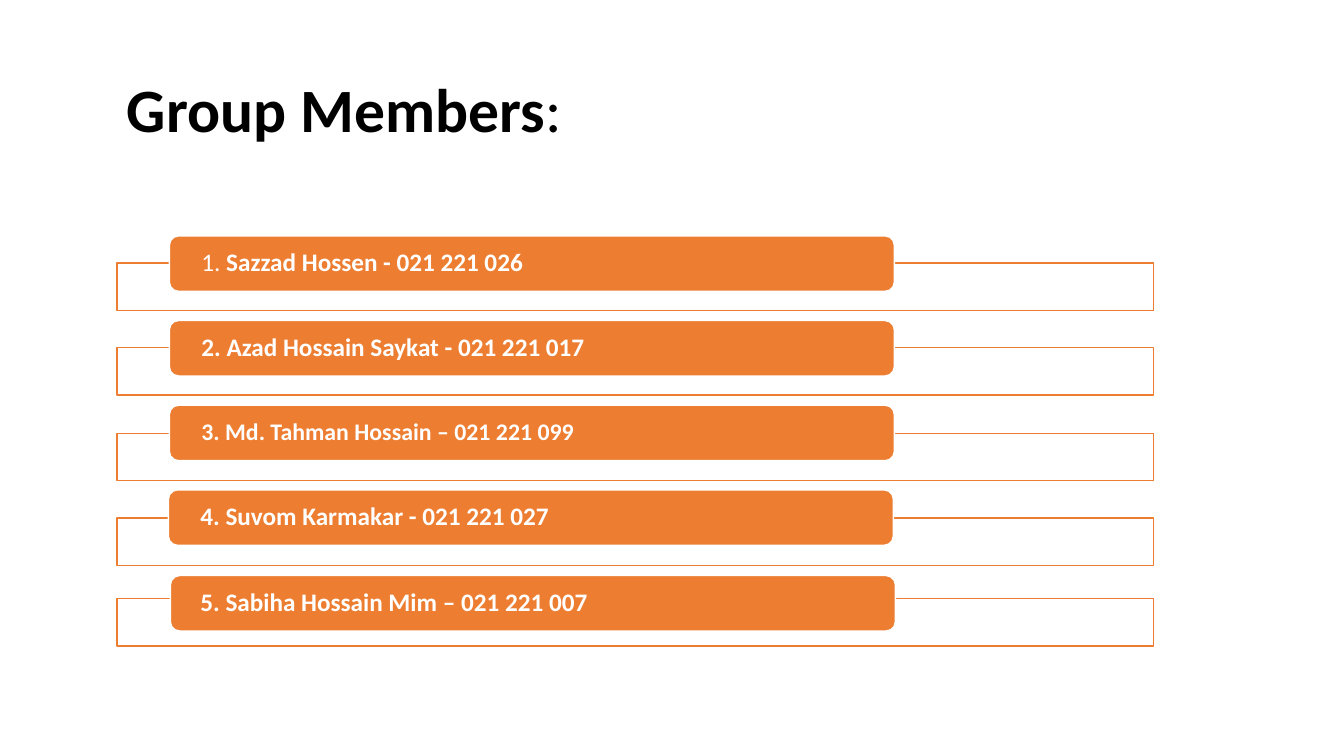
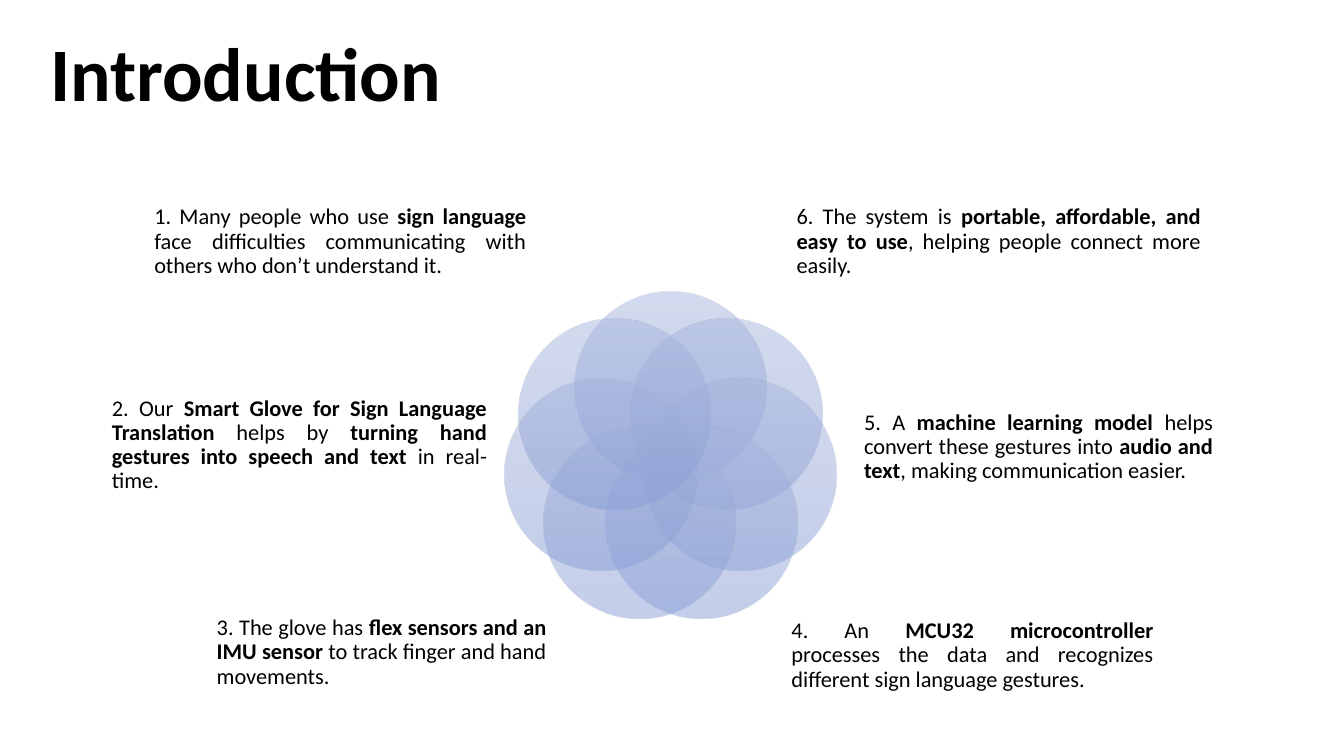
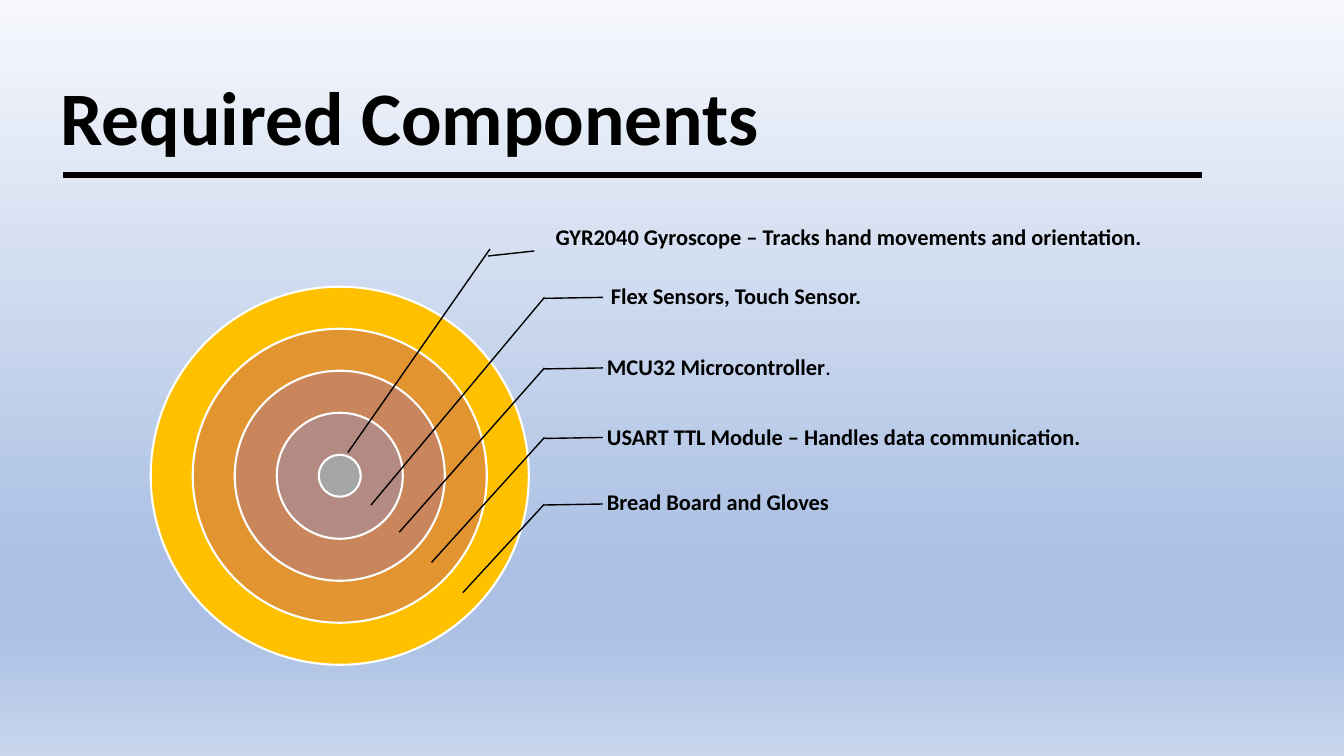
import math

import pptx
import pptx.dml.color
import pptx.enum.shapes
import pptx.enum.text
import pptx.oxml
import pptx.oxml.ns
import pptx.util
from pptx.util import Inches

FONT = "Calibri"
BLACK, WHITE, ORANGE = "000000", "FFFFFF", "ED7D31"
PETAL_STOPS = [(0, "A8B7DF", 50), (50, "9AABD9", 50), (100, "889ED7", 50)]
SKY_STOPS = [(0, "F6F8FC", 100), (74, "ABC0E4", 100), (83, "ABC0E4", 100), (100, "C7D5ED", 100)]
SHAPE = pptx.enum.shapes.MSO_SHAPE
ALIGN = pptx.enum.text.PP_ALIGN


def paint(fill, colour):
    fill.solid()
    fill.fore_color.rgb = pptx.dml.color.RGBColor.from_string(colour)


def write(shape, text, size, margins=(0.1, 0.05, 0.1, 0.05), colour=BLACK, align=ALIGN.LEFT):
    """Fill a shape with one paragraph; parts between ** marks are bold."""
    frame = shape.text_frame
    frame.word_wrap = True
    frame.vertical_anchor = pptx.enum.text.MSO_ANCHOR.MIDDLE
    frame.margin_left, frame.margin_top, frame.margin_right, frame.margin_bottom = map(Inches, margins)
    para = frame.paragraphs[0]
    para.alignment = align
    para.line_spacing = 0.9
    para.font.name = FONT
    para.font.size = pptx.util.Pt(size)
    paint(para.font.fill, colour)
    for index, part in enumerate(text.split("**")):
        if part:
            span = para.add_run()
            span.text = part
            span.font.bold = index % 2 == 1


deck = pptx.Presentation()
deck.slide_width, deck.slide_height = Inches(13.33), Inches(7.5)

# Pages and titles
pages = []
for title, left, top, size in [
    ("**Group Members**:", 1.16, 0.24, 44),
    ("**Introduction**", 0.4, -0.12, 54),
    ("**Required Components**", 0.5, 0.32, 54),
]:
    page = deck.slides.add_slide(deck.slide_layouts[6])
    box = page.shapes.add_textbox(Inches(left), Inches(top), Inches(11), Inches(1.76))
    write(box, title, size)
    pages.append(page)
members_page, intro_page, parts_page = pages

# Group members: an outlined frame behind each name bar
for name, size, frame_top, bar_left, bar_top, indent in [
    ("1. **Sazzad Hossen - 021 221 026**", 18, 2.61, 1.68, 2.34, 0.29),
    ("**2. Azad Hossain Saykat - 021 221 017**", 18, 3.45, 1.68, 3.18, 0.29),
    ("**3. Md. Tahman Hossain – 021 221 099**", 17, 4.3, 1.68, 4.02, 0.29),
    ("**4. Suvom Karmakar - 021 221 027**", 18, 5.14, 1.67, 4.86, 0.29),
    ("**5. Sabiha Hossain Mim – 021 221 007**", 18, 5.94, 1.69, 5.71, 0.27),
]:
    frame = members_page.shapes.add_shape(
        SHAPE.RECTANGLE, Inches(1.16), Inches(frame_top), Inches(10.28), Inches(0.47))
    bar = members_page.shapes.add_shape(
        SHAPE.ROUNDED_RECTANGLE, Inches(bar_left), Inches(bar_top), Inches(7.19), Inches(0.55))
    for shape, fill, outline in [(frame, WHITE, ORANGE), (bar, ORANGE, WHITE)]:
        shape.shadow.inherit = False
        paint(shape.fill, fill)
        paint(shape.line.fill, outline)
        shape.line.width = pptx.util.Pt(1)
    write(bar, name, size, (indent, 0, 0.29, 0), WHITE)

# Introduction: seven petals around one centre
gradients = [(parts_page.background.fill, parts_page.element, SKY_STOPS)]
petal_count, petal_size, orbit = 7, 1.9, 0.71
for number in range(petal_count):
    angle = 2 * math.pi * number / petal_count
    left = 6.65 + orbit * math.sin(angle) - petal_size / 2
    top = 4.55 - orbit * math.cos(angle) - petal_size / 2
    petal = intro_page.shapes.add_shape(
        SHAPE.OVAL, Inches(left), Inches(top), Inches(petal_size), Inches(petal_size))
    petal.shadow.inherit = False
    petal.line.fill.background()
    gradients.append((petal.fill, petal.element, PETAL_STOPS))

# Introduction: notes around the petals
for note, left, top, width, height in [
    ("1. Many people who use **sign language** face difficulties communicating with others "
     "who don’t understand it.", 1.53, 1.76, 3.69, 1.28),
    ("2. Our **Smart Glove for Sign Language Translation** helps by **turning hand gestures "
     "into speech and text** in real-time.", 1.11, 3.67, 3.72, 1.5),
    ("3. The glove has **flex sensors and an IMU sensor** to track finger and hand movements.",
     2.15, 5.85, 3.27, 1.25),
    ("4. An **MCU32 microcontroller** processes the data and recognizes different sign "
     "language gestures.", 7.85, 5.88, 3.59, 1.25),
    ("5. A **machine learning model** helps convert these gestures into **audio and text**, "
     "making communication easier.", 8.57, 3.75, 3.46, 1.37),
    ("6. The system is **portable, affordable, and easy to use**, helping people connect "
     "more easily.", 7.9, 1.76, 4.01, 1.28),
]:
    box = intro_page.shapes.add_textbox(Inches(left), Inches(top), Inches(width), Inches(height))
    write(box, note, 16, (0, 0, 0, 0), align=ALIGN.JUSTIFY)

# Components: concentric rings, largest first
for step, colour in zip((9, 7, 5, 3, 1), ("FFC000", "E19430", "C9865C", "B48B83", "A5A5A5")):
    size = 3.75 * step / 9
    ring = parts_page.shapes.add_shape(
        SHAPE.OVAL, Inches(3.37 - size / 2), Inches(4.72 - size / 2), Inches(size), Inches(size))
    ring.shadow.inherit = False
    paint(ring.fill, colour)
    paint(ring.line.fill, WHITE)
    ring.line.width = pptx.util.Pt(1.5)

# Components: leader lines from the rings to the labels
leaders = [(4.84, 2.54, 5.3, 2.49), (4.86, 2.47, 3.45, 4.49)]
for elbow_y, ring_x, ring_y in [(2.95, 3.68, 5.01), (3.65, 3.96, 5.28),
                                (4.34, 4.28, 5.58), (5, 4.59, 5.88)]:
    leaders.append((5.4, elbow_y, ring_x, ring_y))
    leaders.append((5.4, elbow_y + 0.01, 5.98, elbow_y))
for ends in leaders:
    leader = parts_page.shapes.add_connector(
        pptx.enum.shapes.MSO_CONNECTOR.STRAIGHT, *map(Inches, ends))
    paint(leader.line.fill, BLACK)
    leader.line.width = pptx.util.Pt(1)
    leader.element.spPr.append(pptx.oxml.parse_xml(
        f"<a:effectLst {pptx.oxml.ns.nsdecls('a')}/>"))

# Components: labels
for label, left, top, width in [
    ("**GYR2040 Gyroscope – Tracks hand movements and orientation.**", 5.39, 2.03, 7.4),
    ("**Flex Sensors, Touch Sensor.**", 5.94, 2.62, 5.66),
    ("**MCU32 Microcontroller**.", 5.9, 3.32, 4.36),
    ("**USART TTL Module – Handles data communication.**", 5.9, 4.02, 6.32),
    ("**Bread Board and Gloves**", 5.9, 4.66, 6.32),
]:
    box = parts_page.shapes.add_textbox(Inches(left), Inches(top), Inches(width), Inches(0.66))
    write(box, label, 16, (0.12, 0.02, 0.02, 0.02))

# Components: rule under the title
rule = parts_page.shapes.add_shape(
    SHAPE.RECTANGLE, Inches(0.63), Inches(1.71), Inches(11.28), Inches(0.05))
rule.shadow.inherit = False
paint(rule.fill, BLACK)
paint(rule.line.fill, BLACK)
rule.line.width = pptx.util.Pt(0.25)

# Top-to-bottom gradients: position, colour and opacity in percent
for fill, element, stops in gradients:
    fill.gradient()
    fill.gradient_angle = 270
    stop_list = next(element.iter(pptx.oxml.ns.qn("a:gsLst")))
    for old_stop in list(stop_list):
        stop_list.remove(old_stop)
    for position, colour, opacity in stops:
        stop_list.append(pptx.oxml.parse_xml(
            f'<a:gs {pptx.oxml.ns.nsdecls("a")} pos="{position * 1000}"><a:srgbClr val="{colour}">'
            f'<a:alpha val="{opacity * 1000}"/></a:srgbClr></a:gs>'))

deck.save("out.pptx")
